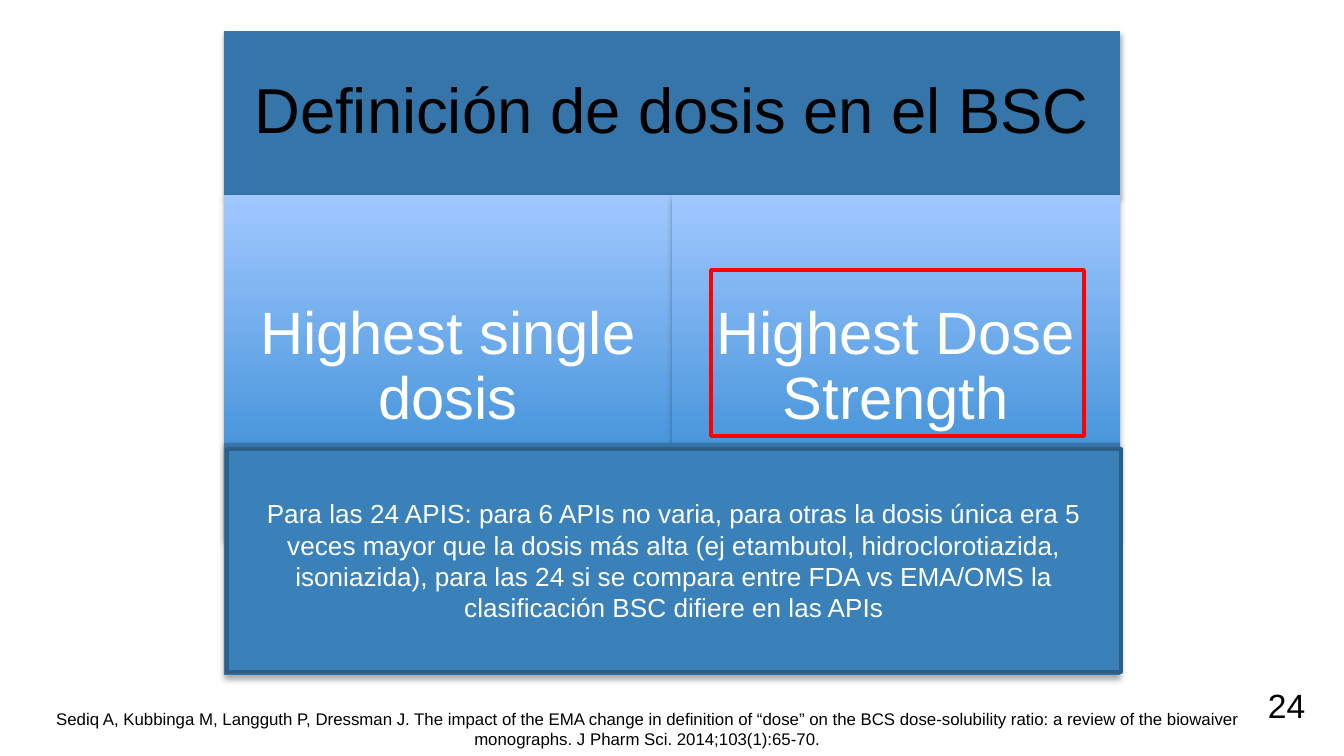
from lxml import etree
from pptx import Presentation
from pptx.dml.color import RGBColor
from pptx.enum.shapes import MSO_SHAPE
from pptx.enum.text import MSO_ANCHOR, MSO_AUTO_SIZE, PP_ALIGN
from pptx.oxml.ns import qn
from pptx.util import Emu, Pt

RECT = MSO_SHAPE.RECTANGLE
CENTER, LEFT = PP_ALIGN.CENTER, PP_ALIGN.LEFT
TOP, MIDDLE = MSO_ANCHOR.TOP, MSO_ANCHOR.MIDDLE
FIXED, GROW = MSO_AUTO_SIZE.NONE, MSO_AUTO_SIZE.SHAPE_TO_FIT_TEXT

PX_PER_INCH = 134.4
TITLE_ONLY = 5
COLORS = {
    "band": "3575A9",
    "note": "3A81BA",
    "note_edge": "2B5F8A",
    "option_low": "2783CD",
    "option_high": "A0C8FF",
    "highlight": "FF0000",
    "dark": "000000",
    "light": "FFFFFF",
}

HEADING = "Definición de dosis en el BSC"
OPTIONS = ["Highest single dosis", "Highest Dose Strength"]
NOTE = (
    "Para las 24 APIS: para 6 APIs no varia, para otras la dosis única era 5 "
    "veces mayor que la dosis más alta (ej etambutol, hidroclorotiazida, "
    "isoniazida), para las 24 si se compara entre FDA vs EMA/OMS la "
    "clasificación BSC difiere en las APIs"
)
CITATION = (
    "Sediq A, Kubbinga M, Langguth P, Dressman J. The impact of the EMA change "
    "in definition of “dose” on the BCS dose-solubility ratio: a review of the "
    "biowaiver monographs. J Pharm Sci. 2014;103(1):65-70."
)


def px(length):
    return Emu(round(length * 914400 / PX_PER_INCH))


def color(name):
    return RGBColor.from_string(COLORS[name])


def write(shape, text, *, size, ink="light", align=CENTER, anchor=MIDDLE,
          spacing=None, inset=None, fit=FIXED):
    frame = shape.text_frame
    frame.word_wrap = True
    frame.auto_size = fit
    frame.vertical_anchor = anchor
    if inset is not None:
        frame.margin_left = frame.margin_right = px(inset)
        frame.margin_top = frame.margin_bottom = px(inset)
    frame.text = text
    paragraph = frame.paragraphs[0]
    paragraph.alignment = align
    if spacing:
        paragraph.line_spacing = spacing
    font = paragraph.runs[0].font
    font.name, font.size = "Arial", Pt(size)
    font.color.rgb = color(ink)


def cast_shadow(shape):
    """Give the shape a soft shadow falling straight down."""
    shape.shadow.inherit = False
    effects = shape._element.spPr.find(qn("a:effectLst"))
    shadow = etree.SubElement(
        effects, qn("a:outerShdw"), blurRad=str(Pt(3.1)), dist=str(Pt(1.8)),
        dir="5400000", rotWithShape="0")
    tint = etree.SubElement(shadow, qn("a:srgbClr"), val=COLORS["dark"])
    etree.SubElement(tint, qn("a:alpha"), val="35000")


class Deck:
    def __init__(self, width, height):
        self.presentation = Presentation()
        self.presentation.slide_width = px(width)
        self.presentation.slide_height = px(height)
        layout = self.presentation.slide_layouts[TITLE_ONLY]
        self.slide = self.presentation.slides.add_slide(layout)

    def title(self, text, left, top, width, height, fill, **style):
        title = self.slide.shapes.title
        title.left, title.top = px(left), px(top)
        title.width, title.height = px(width), px(height)
        title.fill.solid()
        title.fill.fore_color.rgb = color(fill)
        cast_shadow(title)
        write(title, text, **style)

    def box(self, left, top, width, height, fill=None, edge=None, shadow=False):
        """Add a rectangle; a pair of fills runs as a gradient from the bottom up."""
        box = self.slide.shapes.add_shape(
            RECT, px(left), px(top), px(width), px(height))
        if fill is None:
            box.fill.background()
        elif isinstance(fill, tuple):
            box.fill.gradient()
            box.fill.gradient_angle = 90
            for stop, name, position in zip(box.fill.gradient_stops, fill, (0, 1)):
                stop.color.rgb = color(name)
                stop.position = position
        else:
            box.fill.solid()
            box.fill.fore_color.rgb = color(fill)
        if edge:
            box.line.color.rgb = color(edge)
            box.line.width = Pt(2)
        else:
            box.line.fill.background()
        if shadow:
            cast_shadow(box)
        else:
            box.shadow.inherit = False
        return box

    def label(self, text, left, top, width, height, **style):
        label = self.slide.shapes.add_textbox(
            px(left), px(top), px(width), px(height))
        write(label, text, ink="dark", anchor=TOP, **style)


def main():
    deck = Deck(1344, 756)
    left, width = 224, 896
    deck.title(HEADING, left, 31, width, 164, "band",
               size=34, ink="dark", spacing=0.9, inset=18)

    option_width = width // len(OPTIONS)
    for column, option in enumerate(OPTIONS):
        panel = deck.box(left + column * option_width, 195, option_width, 345,
                         fill=("option_low", "option_high"), shadow=True)
        write(panel, option, size=32, spacing=0.9, inset=17)

    deck.box(left, 443, width, 232, fill="band", shadow=True)
    note = deck.box(227, 449, 894, 223, fill="note", edge="note_edge")
    write(note, NOTE, size=14)

    deck.label(CITATION, -8, 702, 1310, 54, size=9, fit=GROW)
    deck.box(711, 270, 373, 166, edge="highlight")
    deck.label("24", 1255, 672, 71, 65, size=18, align=LEFT, inset=13)
    deck.presentation.save("out.pptx")


if __name__ == "__main__":
    main()
